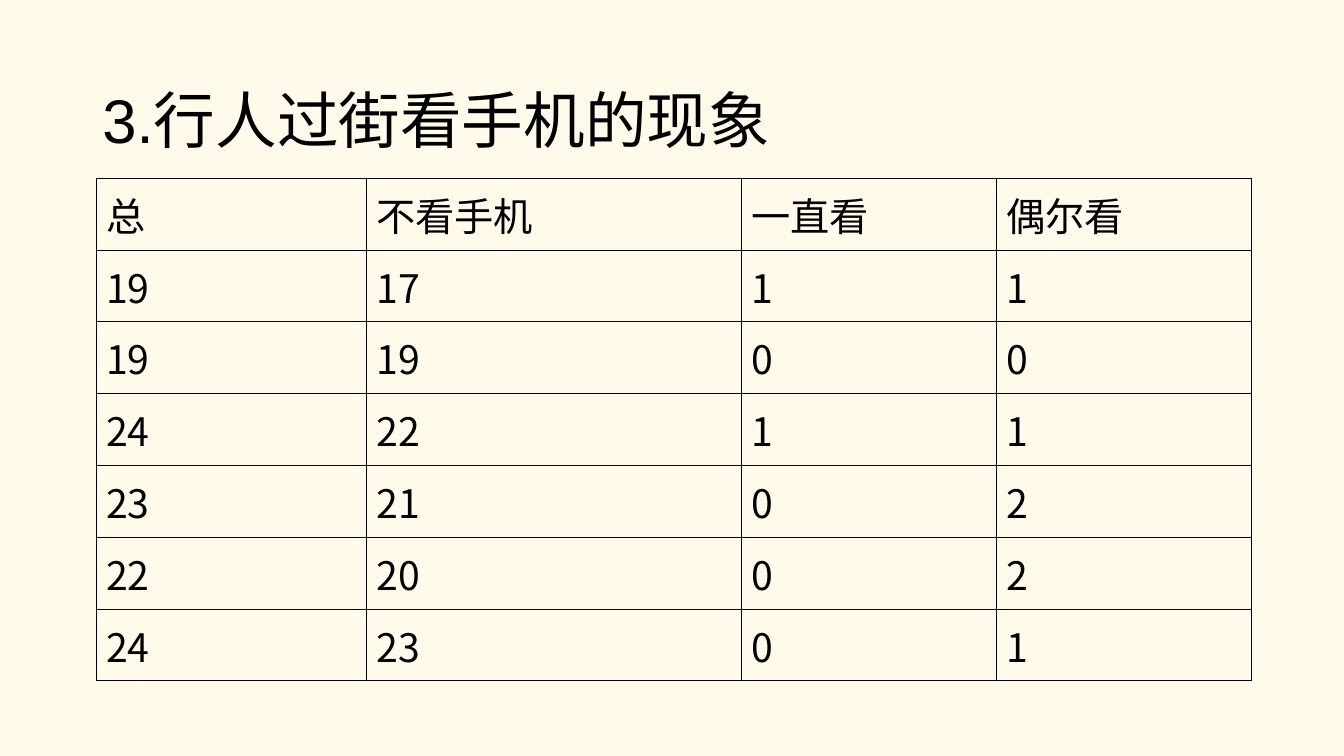
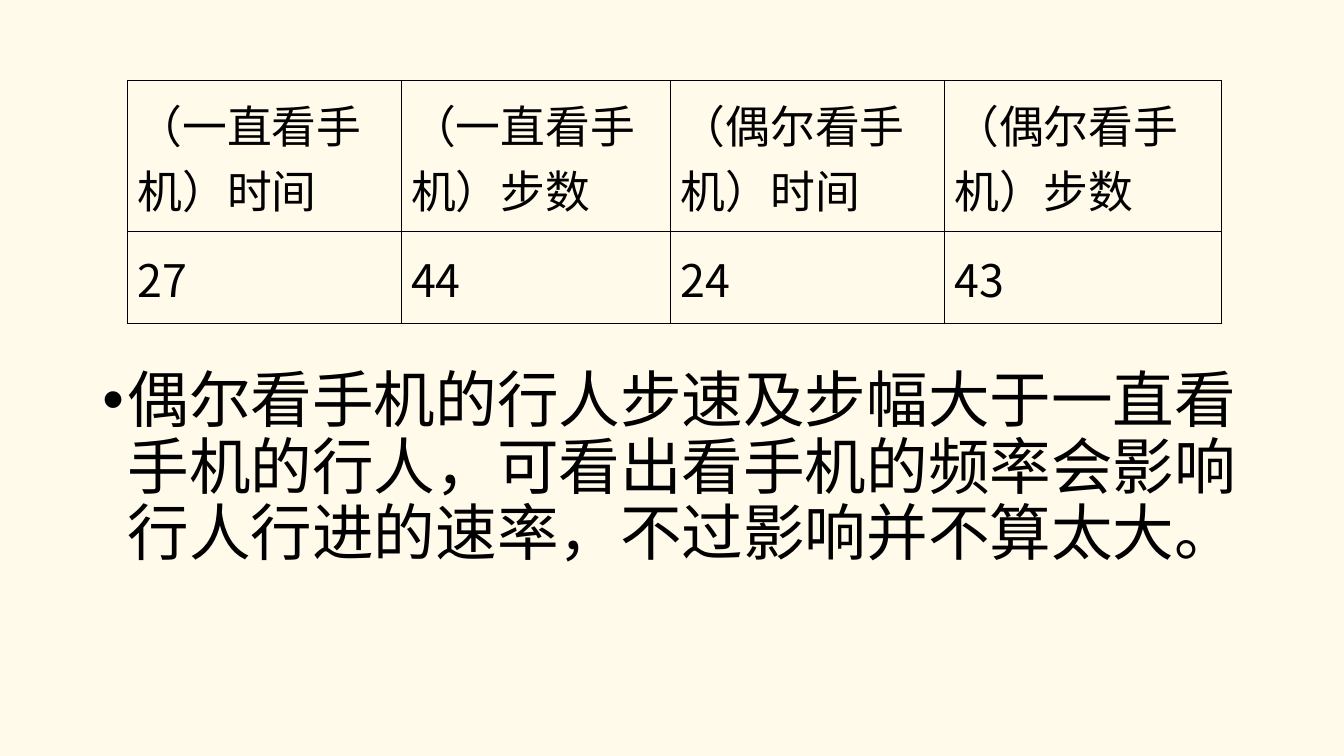
from pptx import Presentation
from pptx.dml.color import RGBColor
from pptx.enum.text import MSO_ANCHOR as Anchor, PP_ALIGN as Align
from pptx.oxml.ns import qn
from pptx.util import Pt
from lxml.etree import SubElement as Sub

CREAM = RGBColor(0xFF, 0xFA, 0xEA)
BLACK = RGBColor(0, 0, 0)
LATIN = "Arial"
HAN = "Noto Sans CJK SC"
TITLE_ONLY, BLANK = 5, 6

COUNTS = [
    ["总", "不看手机", "一直看", "偶尔看"],
    ["19", "17", "1", "1"],
    ["19", "19", "0", "0"],
    ["24", "22", "1", "1"],
    ["23", "21", "0", "2"],
    ["22", "20", "0", "2"],
    ["24", "23", "0", "1"],
]
PACES = [
    ["（一直看手机）时间", "（一直看手机）步数", "（偶尔看手机）时间", "（偶尔看手机）步数"],
    ["27", "44", "24", "43"],
]
FINDING = "偶尔看手机的行人步速及步幅大于一直看手机的行人，可看出看手机的频率会影响行人行进的速率，不过影响并不算太大。"


def write(frame, text, size=44, font=LATIN, anchor=Anchor.TOP, space=1.0, bullet=False):
    frame.word_wrap = True
    frame.vertical_anchor = anchor
    para = frame.paragraphs[0]
    if bullet:
        props = para._p.get_or_add_pPr()
        props.set("marL", str(Pt(18)))
        props.set("indent", str(-Pt(18)))
        Sub(props, qn("a:buFont"), typeface=LATIN)
        Sub(props, qn("a:buChar"), char="•")
    para.alignment = Align.LEFT
    para.line_spacing = space
    run = para.add_run()
    run.text = text
    run.font.size = Pt(size)
    run.font.bold = False
    run.font.color.rgb = BLACK
    run.font.name = font
    Sub(run._r.get_or_add_rPr(), qn("a:ea"), typeface=HAN)


def place(shape, left, top, width, height):
    shape.left, shape.top = Pt(left), Pt(top)
    shape.width, shape.height = Pt(width), Pt(height)


def border(cell):
    props = cell._tc.get_or_add_tcPr()
    for index, side in enumerate(("lnL", "lnR", "lnT", "lnB")):
        line = Sub(props, qn(f"a:{side}"), w=str(Pt(0.75)))
        fill = Sub(line, qn("a:solidFill"))
        Sub(fill, qn("a:srgbClr"), val=str(BLACK))
        props.insert(index, line)


def add_grid(slide, data, left, top, widths, heights, size):
    shape = slide.shapes.add_table(
        len(heights), len(widths), Pt(left), Pt(top), Pt(sum(widths)), Pt(sum(heights)))
    table = shape.table
    table.first_row = table.horz_banding = False
    for col, width in zip(table.columns, widths):
        col.width = Pt(width)
    for row, height, texts in zip(table.rows, heights, data):
        row.height = Pt(height)
        for cell, text in zip(row.cells, texts):
            cell.fill.background()
            border(cell)
            cell.vertical_anchor = Anchor.MIDDLE
            write(cell.text_frame, text, size=size, anchor=Anchor.MIDDLE,
                  font=HAN if text.isdigit() else LATIN)


def add_title(slide, text):
    title = slide.shapes.title
    place(title, 66, 37, 828, 78.5)
    write(title.text_frame, text, anchor=Anchor.BOTTOM, space=0.9)


def add_point(slide, text):
    box = slide.shapes.add_textbox(Pt(66), Pt(260.5), Pt(828), Pt(226))
    write(box.text_frame, text, font=HAN, space=0.9, bullet=True)


def main():
    deck = Presentation()
    deck.slide_width, deck.slide_height = Pt(960), Pt(540)
    back = deck.slide_master.background.fill
    back.solid()
    back.fore_color.rgb = CREAM

    slide = deck.slides.add_slide(deck.slide_layouts[TITLE_ONLY])
    add_title(slide, "3.行人过街看手机的现象")
    add_grid(slide, COUNTS, 68.6, 127.4, [193, 268, 182, 182.3], [51.3] * 7, 28)

    slide = deck.slides.add_slide(deck.slide_layouts[BLANK])
    add_point(slide, FINDING)
    add_grid(slide, PACES, 91, 57.4, [195.5, 192.5, 195.5, 198], [108, 65.7], 32)

    deck.save("out.pptx")


if __name__ == "__main__":
    main()
